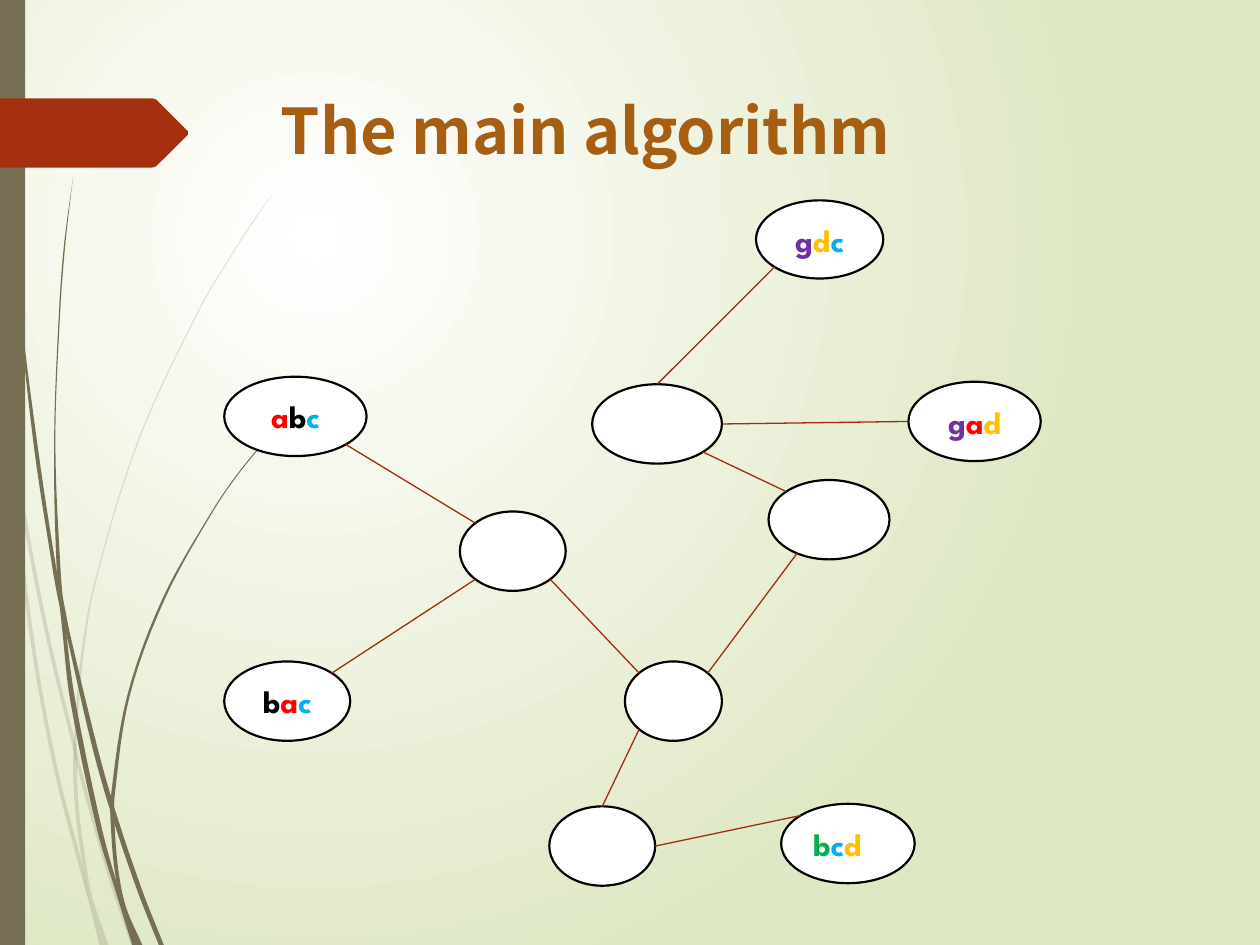
from math import cos, radians, sin

from lxml import etree
from pptx import Presentation
from pptx import util as u
from pptx.dml.color import RGBColor
from pptx.enum import shapes, text
from pptx.oxml import parse_xml
from pptx.oxml.ns import nsdecls, qn

COLORS = {
    "white": "FFFFFF", "mist": "DFE8C4", "stalk": "766F54", "flag": "A53010",
    "title": "A65E12", "edge": "9E2E0F", "black": "000000", "red": "FF0000",
    "blue": "00B0F0", "purple": "7030A0", "gold": "FFC000", "green": "00B050",
}

# Each row of a stalk is height, left edge, right edge.
PALE_STALKS = [
    [(2.82, 0, 0), (2.99, 0, .02), (3.22, .03, .06), (3.45, .07, .1), (3.76, .12, .15),
     (4.49, .25, .28), (5.21, .4, .43), (5.9, .57, .6), (6.08, .61, .64),
     (6.93, .85, .88), (7.5, 1.04, 1.08)],
    [(3.5, .08, .08), (3.76, .1, .12), (4.7, .19, .22), (5.45, .3, .33), (6.2, .45, .48),
     (6.85, .62, .65), (7.14, .7, .71), (7.5, .79, .82)],
    [(1.53, 2.17, 2.17), (1.75, 2.01, 2.02), (1.98, 1.86, 1.87), (2.45, 1.58, 1.59),
     (3.48, 1.1, 1.11), (4.62, .75, .76), (5.22, .64, .66), (5.84, .59, .61),
     (6.1, .58, .61), (6.46, .6, .63), (6.83, .65, .68), (7.11, .7, .73), (7.5, .82, .86)],
]
DARK_STALKS = [
    [(0, .02, .03), (.48, .03, .04), (1.1, .05, .06), (2.33, .14, .15), (3.55, .27, .3),
     (4.53, .42, .45), (4.75, .46, .5), (5.05, .53, .56), (5.92, .73, .77),
     (6.45, .88, .92), (7.07, 1.09, 1.13), (7.5, 1.26, 1.3)],
    [(1.41, .58, .58), (1.93, .51, .52), (2.45, .47, .48), (3.49, .43, .44),
     (4.5, .45, .48), (5.05, .5, .53), (5.57, .56, .6), (6.58, .77, .81),
     (7.08, .92, .95), (7.5, 1.05, 1.09)],
    [(3.44, 2.15, 2.16), (3.74, 1.9, 1.91), (4.06, 1.68, 1.69), (4.75, 1.29, 1.31),
     (5.52, 1.01, 1.03), (6.32, .88, .91), (6.56, .88, .91), (6.91, .91, .94),
     (7.2, .97, 1), (7.5, 1.08, 1.13)],
]
FLAG = [(0, .78), (1.21, .78), (1.24, .79), (1.49, 1.04), (1.49, 1.07), (1.24, 1.32),
        (1.21, 1.33), (0, 1.33)]

NODES = {
    "abc": ((1.78, 2.99, 1.13, .63), ("red", "black", "blue")),
    "bac": ((1.78, 5.25, 1, .63), ("black", "red", "blue")),
    "gdc": ((6, 1.59, 1.01, .62), ("purple", "gold", "blue")),
    "gad": ((7.21, 3.03, 1.05, .63), ("purple", "red", "gold")),
    "bcd": ((6.2, 6.38, 1.06, .63), ("green", "blue", "gold")),
    "left": ((3.65, 4.06, .84, .63), ()),
    "upper": ((4.7, 3.05, 1.03, .63), ()),
    "right": ((6.1, 3.81, .96, .63), ()),
    "centre": ((4.96, 5.25, .77, .63), ()),
    "lower": ((4.36, 6.4, .84, .63), ()),
}
# Each edge joins two nodes at angles measured clockwise from the right.
EDGES = [
    ("abc", 45, "left", 225), ("bac", 315, "left", 135), ("left", 45, "centre", 225),
    ("centre", 315, "right", 122), ("upper", 45, "right", 225), ("upper", 0, "gad", 180),
    ("upper", 270, "gdc", 135), ("centre", 135, "lower", 270), ("lower", 0, "bcd", 225),
]


def rgb(name):
    """Return the named colour."""
    return RGBColor.from_string(COLORS[name])


def paint(sp, color):
    """Give a shape a plain fill with no line or shadow."""
    sp.shadow.inherit = False
    sp.fill.solid()
    sp.fill.fore_color.rgb = rgb(color)
    sp.line.fill.background()


def add_outline(s, points, color):
    """Draw a closed, filled outline through points in inches."""
    start, *rest = [(u.Inches(x), u.Inches(y)) for x, y in points]
    builder = s.shapes.build_freeform(*start)
    builder.add_line_segments(rest, close=True)
    sp = builder.convert_to_shape()
    paint(sp, color)
    return sp


def smooth_rows(rows, steps=6):
    """Interpolate stalk rows with a cubic Hermite curve over height."""
    last = len(rows) - 1
    slopes = []
    for i in range(last + 1):
        a, b = rows[max(i - 1, 0)], rows[min(i + 1, last)]
        slopes.append([(b[k] - a[k]) / (b[0] - a[0]) for k in (1, 2)])
    result = []
    for i in range(last):
        a, b = rows[i], rows[i + 1]
        h = b[0] - a[0]
        for n in range(steps):
            t = n / steps
            w = t * t * (3 - 2 * t)
            xs = [a[k] * (1 - w) + b[k] * w
                  + h * t * (1 - t) * ((1 - t) * slopes[i][k - 1] - t * slopes[i + 1][k - 1])
                  for k in (1, 2)]
            result.append((a[0] + h * t, *xs))
    return result + [rows[-1]]


def add_stalk(s, rows, alpha=None):
    """Draw one grass stalk, optionally see-through."""
    rows = smooth_rows(rows)
    points = [(left, y) for y, left, _ in rows] + [(right, y) for y, _, right in rows[::-1]]
    sp = add_outline(s, points, "stalk")
    if alpha:
        color = sp.element.spPr.find(qn("a:solidFill")).find(qn("a:srgbClr"))
        etree.SubElement(color, qn("a:alpha")).set("val", str(alpha * 1000))


def add_background(s):
    """Fill the slide with a round gradient centred at upper left."""
    fill = s.background.fill
    fill.gradient()
    for stop, color in zip(fill.gradient_stops, ("white", "mist")):
        stop.color.rgb = rgb(color)
    lin = next(s.element.iter(qn("a:lin")))
    lin.getparent().replace(lin, parse_xml(
        f'<a:path {nsdecls("a")} path="circle">'
        '<a:fillToRect l="50000" t="50000" r="100000" b="100000"/></a:path>'))


def add_decoration(s, height):
    """Draw the stalks, side bar and flag on the left."""
    for rows in PALE_STALKS:
        add_stalk(s, rows, alpha=20)
    for rows in DARK_STALKS:
        add_stalk(s, rows)
    bar = s.shapes.add_shape(shapes.MSO_SHAPE.RECTANGLE, 0, 0, u.Inches(.2), height)
    paint(bar, "stalk")
    add_outline(s, FLAG, "flag")


def add_title(s, box, title):
    """Place and format the title."""
    sp = s.shapes.title
    sp.left, sp.top, sp.width, sp.height = map(u.Inches, box)
    tf = sp.text_frame
    tf.text = title
    tf.auto_size = text.MSO_AUTO_SIZE.NONE
    tf.vertical_anchor = text.MSO_ANCHOR.TOP
    p = tf.paragraphs[0]
    p.alignment = text.PP_ALIGN.LEFT
    f = p.runs[0].font
    f.name, f.size, f.bold = "Noto Sans CJK SC", u.Pt(36), True
    f.color.rgb = rgb("title")


def add_node(s, box, label, colors, align):
    """Draw an ellipse with one colour for each letter."""
    sp = s.shapes.add_shape(shapes.MSO_SHAPE.OVAL, *map(u.Inches, box))
    paint(sp, "white")
    sp.line.color.rgb = rgb("black")
    sp.line.width = u.Pt(1.25)
    sp.text_frame.vertical_anchor = text.MSO_ANCHOR.MIDDLE
    p = sp.text_frame.paragraphs[0]
    p.alignment = align
    for letter, color in zip(label, colors):
        r = p.add_run()
        r.text = letter
        r.font.name, r.font.size, r.font.bold = "League Spartan", u.Pt(18), True
        r.font.color.rgb = rgb(color)


def rim_point(name, angle):
    """Return the point on a node's rim at an angle."""
    x, y, w, h = NODES[name][0]
    a = radians(angle)
    return u.Inches(x + w / 2 * (1 + cos(a))), u.Inches(y + h / 2 * (1 + sin(a)))


def add_tree(s):
    """Draw the nodes and the edges between them."""
    for name, (box, colors) in NODES.items():
        align = text.PP_ALIGN.LEFT if name == "bcd" else text.PP_ALIGN.CENTER
        add_node(s, box, name, colors, align)
    for a, a_angle, b, b_angle in EDGES:
        line = s.shapes.add_connector(
            shapes.MSO_CONNECTOR.STRAIGHT, *rim_point(a, a_angle), *rim_point(b, b_angle))
        line.line.color.rgb = rgb("edge")
        line.line.width = u.Pt(.75)
        etree.SubElement(line.element.spPr, qn("a:effectLst"))


def main():
    """Build and save the slide."""
    prs = Presentation()
    prs.slide_width, prs.slide_height = u.Inches(10), u.Inches(7.5)
    s = prs.slides.add_slide(prs.slide_layouts[5])
    add_background(s)
    add_decoration(s, prs.slide_height)
    add_title(s, (2.13, .68, 7.21, 1.4), "The main algorithm")
    add_tree(s)
    prs.save("out.pptx")


if __name__ == "__main__":
    main()
